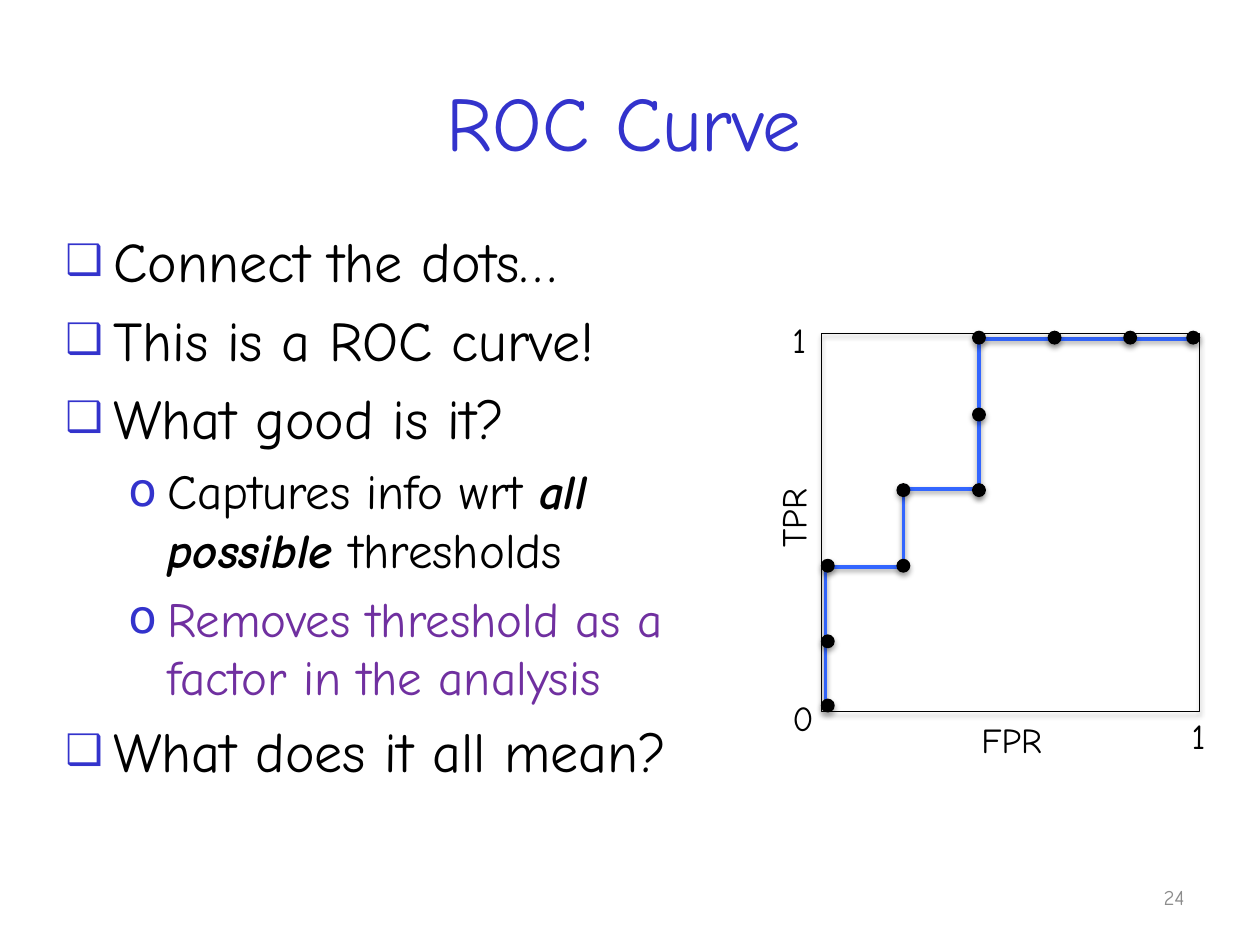
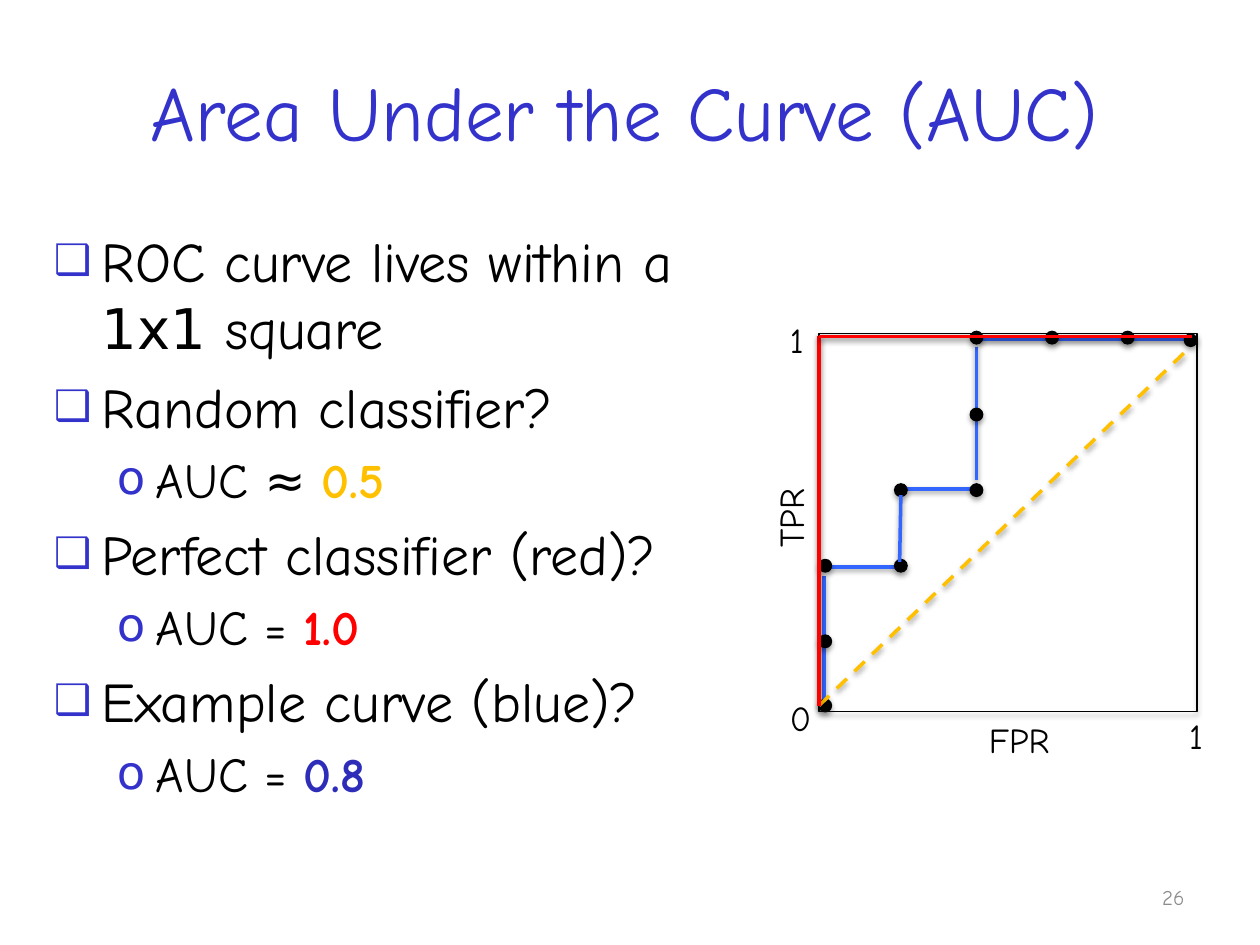
from pptx import Presentation
from pptx.dml.color import RGBColor
from pptx.enum.dml import MSO_LINE
from pptx.enum.shapes import MSO_CONNECTOR, MSO_SHAPE
from pptx.enum.text import MSO_ANCHOR as ANCHOR, MSO_AUTO_SIZE as AUTO, PP_ALIGN as ALIGN
from pptx.oxml import parse_xml
from pptx.oxml.ns import nsdecls
from pptx.util import Inches, Pt

FONT, PLAIN_FONT = "Comic Neue", "DejaVu Sans"
BLACK = RGBColor(0, 0, 0)
TITLE_BLUE = RGBColor(0x33, 0x33, 0xCC)
CURVE_BLUE = RGBColor(0x33, 0x66, 0xFF)
DARK_BLUE = RGBColor(0x2D, 0x2D, 0xB9)
PURPLE = RGBColor(0x70, 0x30, 0xA0)
GOLD = RGBColor(0xFF, 0xC0, 0x00)
RED = RGBColor(0xFF, 0, 0)
GRAY = RGBColor(0x8C, 0x8C, 0x8C)

# Per level: text size, indent, hanging indent, bullet, bullet size in %
LEVELS = [(32, 0.38, 0.38, "❑", 75), (28, 0.81, 0.31, "o", 95)]

# Plot: offsets from the top left corner of the unit square
SIDE, TOP, DOT = 3, 2.65, 0.1
COLS = [0, 0.6, 1.2, 1.8, 2.4, 2.9]
ROWS = [-0.02, 0.59, 1.19, 1.79, 2.39, 2.9]
DOTS = [(0, 5), (0, 4), (0, 3), (1, 3), (1, 2), (2, 2),
        (2, 1), (2, 0), (3, 0), (4, 0), (5, 0)]  # column, row
AXIS_LABELS = [("1", 2.84, 2.97, 0.33), ("1", -0.33, -0.17, 0.33), ("0", -0.33, 2.83, 0.37)]

# Lines are x1, y1, x2, y2; a body paragraph is a level and its runs
SLIDES = [
    dict(
        title="ROC Curve", title_box=(0.83, 0.33, 8.25, 1.25), number="24",
        body_box=(0.42, 1.75, 5.33, 5),
        body=[
            (0, [("Connect the dots…", {})]),
            (0, [("This is a ROC curve!", {})]),
            (0, [("What good is it?", {})]),
            (1, [("Captures info wrt ", {}), ("all possible", dict(bold=True, italic=True)),
                 (" thresholds", {})]),
            (1, [("Removes threshold as a factor in the analysis", dict(color=PURPLE))]),
            (0, [("What does it all mean?", {})]),
        ],
        plot_left=6.52, fpr_left=7.69, last_dot_drop=0,
        curve=[(7.17, 3.94, 7.17, 4.44), (7.15, 3.88, 7.75, 3.88), (7.75, 2.69, 9.47, 2.69),
               (7.77, 2.73, 7.77, 3.94), (6.55, 4.5, 7.15, 4.5), (6.55, 4.5, 6.55, 5.6)],
        overlay=[],
    ),
    dict(
        title="Area Under the Curve (AUC)", title_box=(0.75, 0.25, 8.42, 1.25), number="26",
        body_box=(0.33, 1.75, 5.67, 4.92),
        body=[
            (0, [("ROC curve lives within a ", {}), ("1x1", dict(font=PLAIN_FONT)),
                 (" square", {})]),
            (0, [("Random classifier?", {})]),
            (1, [("AUC ≈ ", {}), ("0.5", dict(bold=True, color=GOLD))]),
            (0, [("Perfect classifier (red)?", {})]),
            (1, [("AUC = ", {}), ("1.0", dict(bold=True, color=RED))]),
            (0, [("Example curve (blue)?", {})]),
            (1, [("AUC = ", {}), ("0.8", dict(bold=True, color=DARK_BLUE))]),
        ],
        plot_left=6.5, fpr_left=7.75, last_dot_drop=0.02,
        curve=[(7.15, 3.88, 7.75, 3.88), (6.54, 4.57, 6.54, 5.63), (6.55, 4.5, 7.15, 4.5),
               (7.75, 2.75, 7.75, 3.81), (7.75, 2.69, 9.47, 2.69)],
        overlay=[((7.15, 3.93, 7.14, 4.46), CURVE_BLUE, False),
                 ((6.5, 5.6, 9.45, 2.75), GOLD, True),
                 ((6.5, 5.6, 6.5, 2.67), RED, False),
                 ((6.5, 2.67, 9.46, 2.67), RED, False)],
    ),
]


def add_shadow(sp, distance, opacity):
    """Soft black shadow straight below."""
    sp._element.spPr.append(parse_xml(
        f'<a:effectLst {nsdecls("a")}><a:outerShdw blurRad="{Pt(3.1)}" dist="{Pt(distance)}" '
        f'dir="5400000" rotWithShape="0"><a:srgbClr val="000000">'
        f'<a:alpha val="{opacity * 1000}"/></a:srgbClr></a:outerShdw></a:effectLst>'))


def add_run(p, text, size, color=BLACK, font=FONT, bold=False, italic=False):
    r = p.add_run()
    r.text = text
    r.font.size, r.font.name = Pt(size), font
    r.font.bold, r.font.italic = bold, italic
    r.font.color.rgb = color


def add_box(slide, box, wrap=True, anchor=ANCHOR.TOP):
    sp = slide.shapes.add_textbox(*map(Inches, box))
    tf = sp.text_frame
    tf.word_wrap, tf.vertical_anchor = wrap, anchor
    return sp


def add_line_of_text(slide, box, text, size, color, align):
    p = add_box(slide, box, anchor=ANCHOR.MIDDLE).text_frame.paragraphs[0]
    p.alignment = align
    add_run(p, text, size, color)


def add_body(slide, box, body):
    tf = add_box(slide, box).text_frame
    for i, (level, runs) in enumerate(body):
        p = tf.paragraphs[0] if i == 0 else tf.add_paragraph()
        size, indent, hang, bullet, percent = LEVELS[level]
        p.level = level
        pPr = p._p.get_or_add_pPr()
        pPr.set("marL", str(Inches(indent)))
        pPr.set("indent", str(-Inches(hang)))
        for xml in (f'<a:spcBef {nsdecls("a")}><a:spcPct val="20000"/></a:spcBef>',
                    f'<a:buClr {nsdecls("a")}><a:srgbClr val="{TITLE_BLUE}"/></a:buClr>',
                    f'<a:buSzPct {nsdecls("a")} val="{percent * 1000}"/>',
                    f'<a:buFont {nsdecls("a")} typeface="{PLAIN_FONT}"/>',
                    f'<a:buChar {nsdecls("a")} char="{bullet}"/>'):
            pPr.append(parse_xml(xml))
        for text, style in runs:
            add_run(p, text, size, **style)


def add_line(slide, ends, color=CURVE_BLUE, dashed=False):
    line = slide.shapes.add_connector(MSO_CONNECTOR.STRAIGHT, *map(Inches, ends))
    line.line.color.rgb, line.line.width = color, Pt(2)
    if dashed:
        line.line.dash_style = MSO_LINE.DASH
    add_shadow(line, 1.6, 38)


def add_label(slide, text, left, top, width, rotation=0):
    sp = add_box(slide, (left, top, width, 0.44), wrap=False)
    sp.rotation = rotation
    sp.text_frame.auto_size = AUTO.SHAPE_TO_FIT_TEXT
    add_run(sp.text_frame.paragraphs[0], text, 20)


def add_outline(slide, kind, left, top, size, filled):
    sp = slide.shapes.add_shape(kind, *map(Inches, (left, top, size, size)))
    if filled:
        sp.fill.solid()
        sp.fill.fore_color.rgb = BLACK
    else:
        sp.fill.background()
    sp.line.color.rgb, sp.line.width = BLACK, Pt(0.75)
    add_shadow(sp, 1.8, 35)


def add_plot(slide, left, fpr_left, last_dot_drop):
    add_label(slide, "TPR", left - 0.58, TOP + 1.22, 0.71, 270)
    add_label(slide, "FPR", fpr_left, TOP + SIDE, 0.69)
    add_outline(slide, MSO_SHAPE.RECTANGLE, left, TOP, SIDE, False)
    for text, dx, dy, width in AXIS_LABELS:
        add_label(slide, text, left + dx, TOP + dy, width)
    for col, row in DOTS:
        drop = last_dot_drop if (col, row) == DOTS[-1] else 0
        add_outline(slide, MSO_SHAPE.OVAL, left + COLS[col], TOP + ROWS[row] + drop, DOT, True)


prs = Presentation()
prs.slide_width, prs.slide_height = Inches(10), Inches(7.5)
for s in SLIDES:
    slide = prs.slides.add_slide(prs.slide_layouts[6])
    for ends in s["curve"]:
        add_line(slide, ends)
    add_line_of_text(slide, s["title_box"], s["title"], 44, TITLE_BLUE, ALIGN.CENTER)
    add_body(slide, s["body_box"], s["body"])
    add_line_of_text(slide, (7.17, 6.92, 2.33, 0.4), s["number"], 12, GRAY, ALIGN.RIGHT)
    add_plot(slide, s["plot_left"], s["fpr_left"], s["last_dot_drop"])
    for ends, color, dashed in s["overlay"]:
        add_line(slide, ends, color, dashed)
prs.save("out.pptx")
